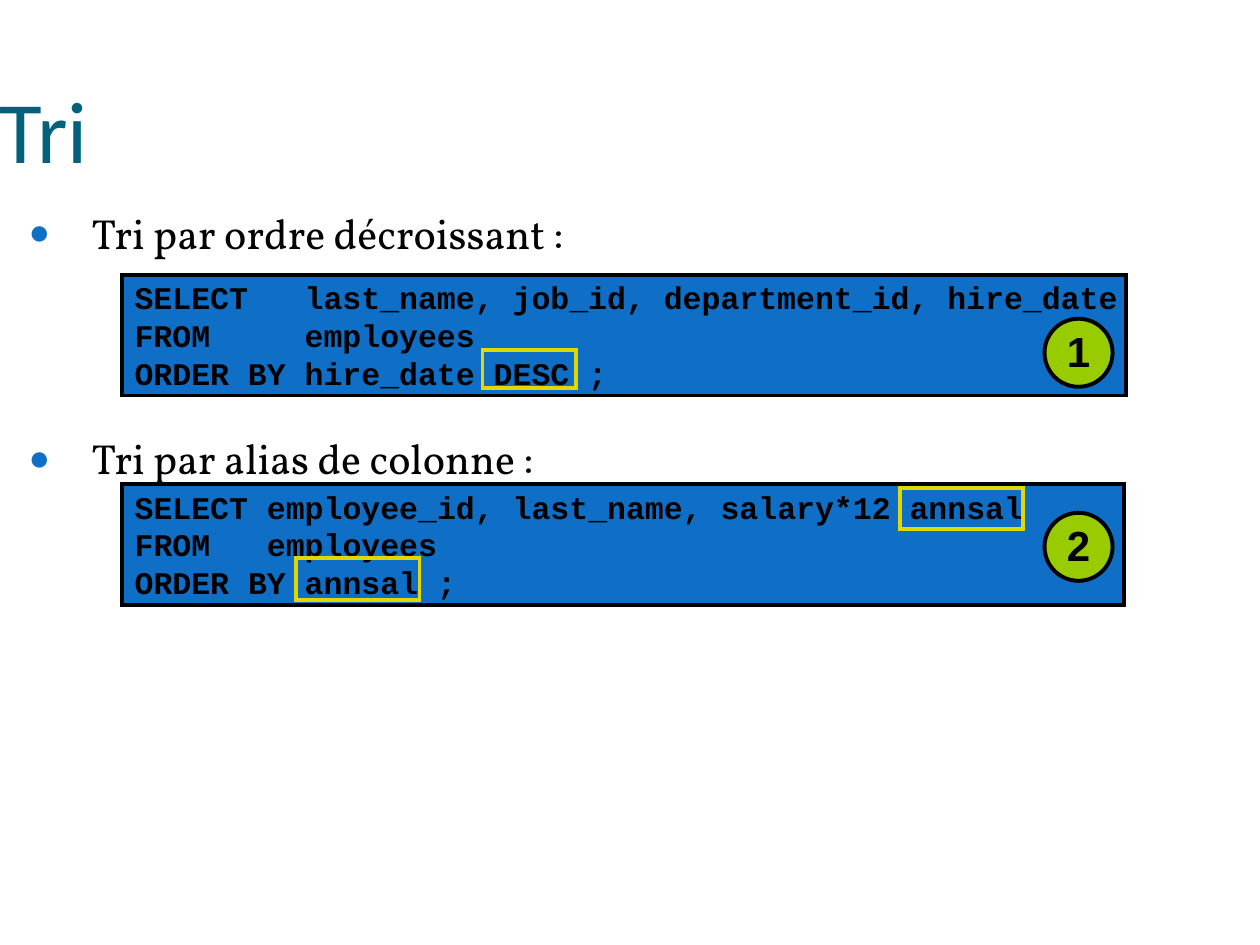
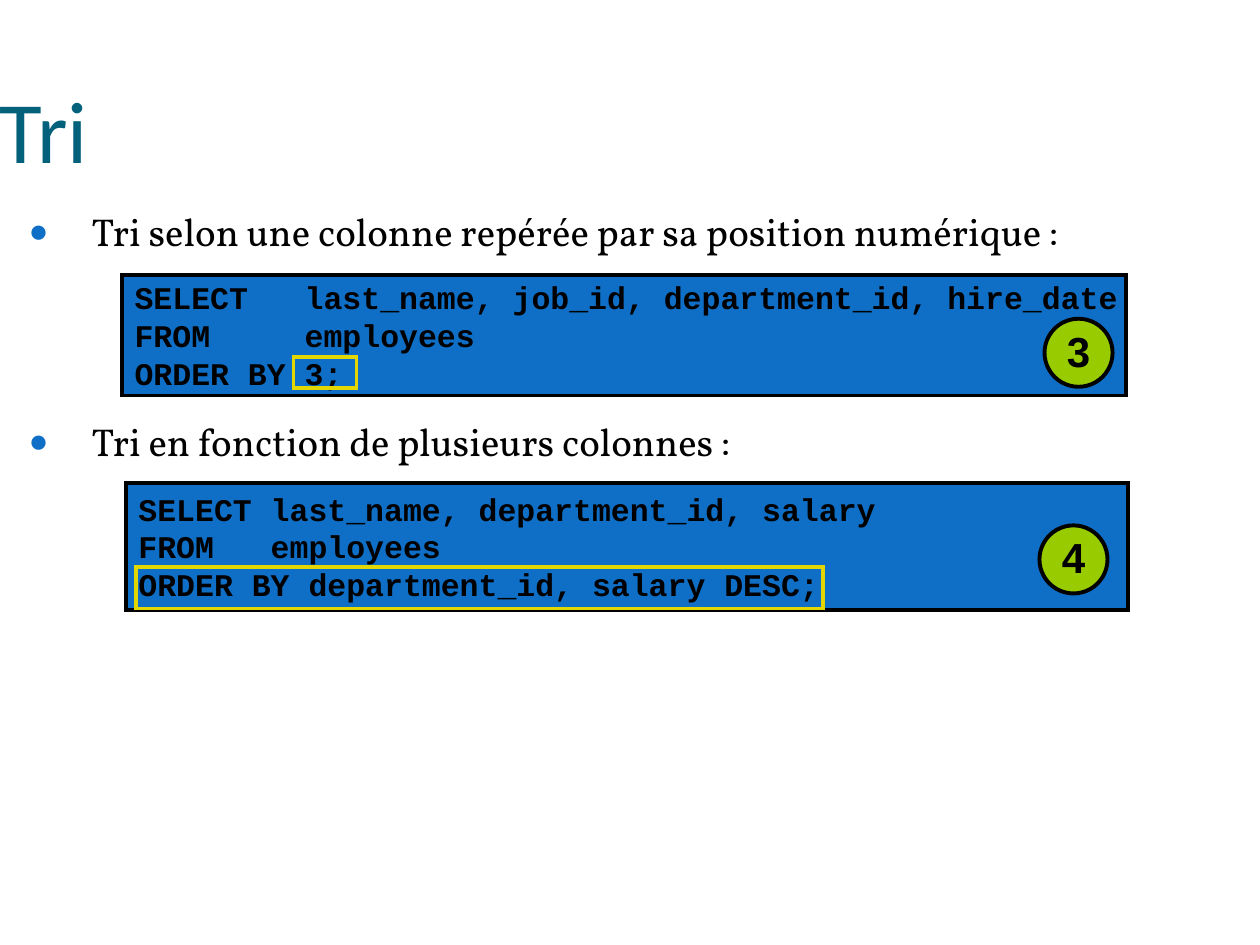
"""Build two slides on sorting rows with ORDER BY."""
from dataclasses import dataclass

import pptx
import pptx.dml.color
import pptx.enum.shapes
import pptx.enum.text
import pptx.oxml
import pptx.oxml.ns
import pptx.util

Inches = pptx.util.Inches
Pt = pptx.util.Pt
RGBColor = pptx.dml.color.RGBColor
Shape = pptx.enum.shapes.MSO_SHAPE
Align = pptx.enum.text.PP_ALIGN
Anchor = pptx.enum.text.MSO_ANCHOR

TEAL = RGBColor(0x04, 0x61, 0x7B)
BLUE = RGBColor(0x0F, 0x6F, 0xC6)
GREEN = RGBColor(0x99, 0xCC, 0x00)
YELLOW = RGBColor(0xE2, 0xD7, 0x00)
BLACK = RGBColor(0, 0, 0)

BADGE = 0.54
LEAD = 1.39  # line height of the body font, in ems
SPACE = pptx.oxml.ns.nsdecls("a")


@dataclass
class Box:
    """A rectangle in inches."""
    left: float
    top: float
    width: float
    height: float


@dataclass
class Query:
    """A code panel with its marked words and its number badge."""
    box: Box
    code: str
    marks: list[Box]
    badge: tuple[float, float]


@dataclass
class Page:
    """A slide: its bullets and the query under each of them."""
    body: Box
    size: float
    pitch: float  # points from one bullet to the next
    points: list[str]
    queries: list[Query]


PAGES = [
    Page(Box(0, 1.58, 8.66, 2.52), 24, 129,
         ["Tri par ordre décroissant\u00a0:", "Tri par alias de colonne\u00a0:"],
         [Query(Box(0.97, 2.18, 7.97, 0.96),
                "SELECT   last_name, job_id, department_id, hire_date\n"
                "FROM     employees\n"
                "ORDER BY hire_date DESC ;",
                [Box(3.83, 2.78, 0.74, 0.3)], (8.29, 2.53)),
          Query(Box(0.97, 3.84, 7.95, 0.96),
                "SELECT employee_id, last_name, salary*12 annsal\n"
                "FROM   employees\n"
                "ORDER BY annsal ;",
                [Box(7.14, 3.87, 0.98, 0.33), Box(2.35, 4.43, 0.98, 0.33)],
                (8.29, 4.07))]),
    Page(Box(0, 1.59, 8.66, 2.08), 22.2, 120,
         ["Tri selon une colonne\u00a0repérée par sa position numérique :",
          "Tri en fonction de plusieurs colonnes\u00a0:"],
         [Query(Box(0.97, 2.18, 7.97, 0.96),
                "SELECT   last_name, job_id, department_id, hire_date\n"
                "FROM     employees\n"
                "ORDER BY 3;",
                [Box(2.33, 2.83, 0.5, 0.25)], (8.29, 2.53)),
          Query(Box(1, 3.83, 7.95, 1.01),
                "SELECT last_name, department_id, salary\n"
                "FROM   employees\n"
                "ORDER BY department_id, salary DESC;",
                [Box(1.08, 4.5, 5.45, 0.33)], (8.25, 4.17))]),
]


def place(box: Box) -> list[int]:
    """Turn a box into the lengths that shapes take."""
    return [Inches(n) for n in (box.left, box.top, box.width, box.height)]


def inset(frame, side: float, top: float, base: float) -> None:
    """Set the inner margins of a text frame."""
    frame.margin_left = frame.margin_right = Inches(side)
    frame.margin_top, frame.margin_bottom = Inches(top), Inches(base)


def style(frame, face: str, size: float, color: RGBColor,
          bold: bool = False) -> None:
    """Format every run of a text frame."""
    for para in frame.paragraphs:
        for run in para.runs:
            font = run.font
            font.name, font.size, font.bold = face, Pt(size), bold
            font.color.rgb = color


def bullet(para) -> None:
    """Give a paragraph a hanging round bullet."""
    props = para._p.get_or_add_pPr()
    props.set("marL", str(Inches(0.63)))
    props.set("indent", str(Inches(-0.5)))
    for part in (f'<a:buClr {SPACE}><a:srgbClr val="{BLUE}"/></a:buClr>',
                 f'<a:buSzPct {SPACE} val="85000"/>',
                 f'<a:buFont {SPACE} typeface="Arial"/>',
                 f'<a:buChar {SPACE} char="●"/>'):
        props.append(pptx.oxml.parse_xml(part))


def shape(slide, kind, box: Box, line: RGBColor, fill: RGBColor | None = None):
    """Draw a shape with a sharp-cornered outline, filled or hollow."""
    item = slide.shapes.add_shape(kind, *place(box))
    item.shadow.inherit = False
    item.line.color.rgb = line
    item.line.width = Pt(2.25)
    miter = pptx.oxml.parse_xml(f'<a:miter {SPACE} lim="800000"/>')
    item.line._get_or_add_ln().append(miter)
    if fill is None:
        item.fill.background()
    else:
        item.fill.solid()
        item.fill.fore_color.rgb = fill
    return item


def label(item, text: str, side: float, align) -> None:
    """Write unwrapped, vertically centred text in a shape."""
    frame = item.text_frame
    frame.text = text
    frame.word_wrap = False
    frame.vertical_anchor = Anchor.MIDDLE
    inset(frame, side, 0.05, 0.05)
    for para in frame.paragraphs:
        para.alignment = align


def title(slide, text: str) -> None:
    """Write the slide title."""
    frame = slide.shapes.add_textbox(*place(Box(0, 0.48, 8.66, 0.96))).text_frame
    frame.text = text
    frame.word_wrap = True
    frame.vertical_anchor = Anchor.BOTTOM
    inset(frame, 0, 0.05, 0)
    style(frame, "Calibri", 50, TEAL)


def body(slide, page: Page) -> None:
    """Write the bullets, one pitch apart."""
    frame = slide.shapes.add_textbox(*place(page.body)).text_frame
    frame.text = "\n".join(page.points)
    frame.word_wrap = True
    inset(frame, 0.1, 0, 0.05)
    lead = round(page.size * LEAD, 1)
    for rank, para in enumerate(frame.paragraphs):
        para.line_spacing = Pt(lead)
        para.space_before = Pt(page.pitch - lead if rank else 1)
        bullet(para)
    style(frame, "Vollkorn", page.size, BLACK)


def query(slide, item: Query, rank: int) -> None:
    """Draw a code panel, its marks and its numbered badge."""
    panel = shape(slide, Shape.RECTANGLE, item.box, BLACK, BLUE)
    label(panel, item.code, 0.1, Align.LEFT)
    style(panel.text_frame, "Courier New", 18, BLACK, True)
    for mark in item.marks:
        shape(slide, Shape.RECTANGLE, mark, YELLOW)
    disc = shape(slide, Shape.OVAL, Box(*item.badge, BADGE, BADGE), BLACK, GREEN)
    label(disc, str(rank), 0.05, Align.CENTER)
    disc.text_frame.paragraphs[0].line_spacing = 0.95
    style(disc.text_frame, "Arial", 24, BLACK, True)


def main() -> None:
    """Build and save the deck."""
    deck = pptx.Presentation()
    deck.slide_width, deck.slide_height = Inches(10), Inches(7.5)
    rank = 0
    for page in PAGES:
        slide = deck.slides.add_slide(deck.slide_layouts[6])
        title(slide, "Tri")
        body(slide, page)
        for item in page.queries:
            rank += 1
            query(slide, item, rank)
    deck.save("out.pptx")


main()
